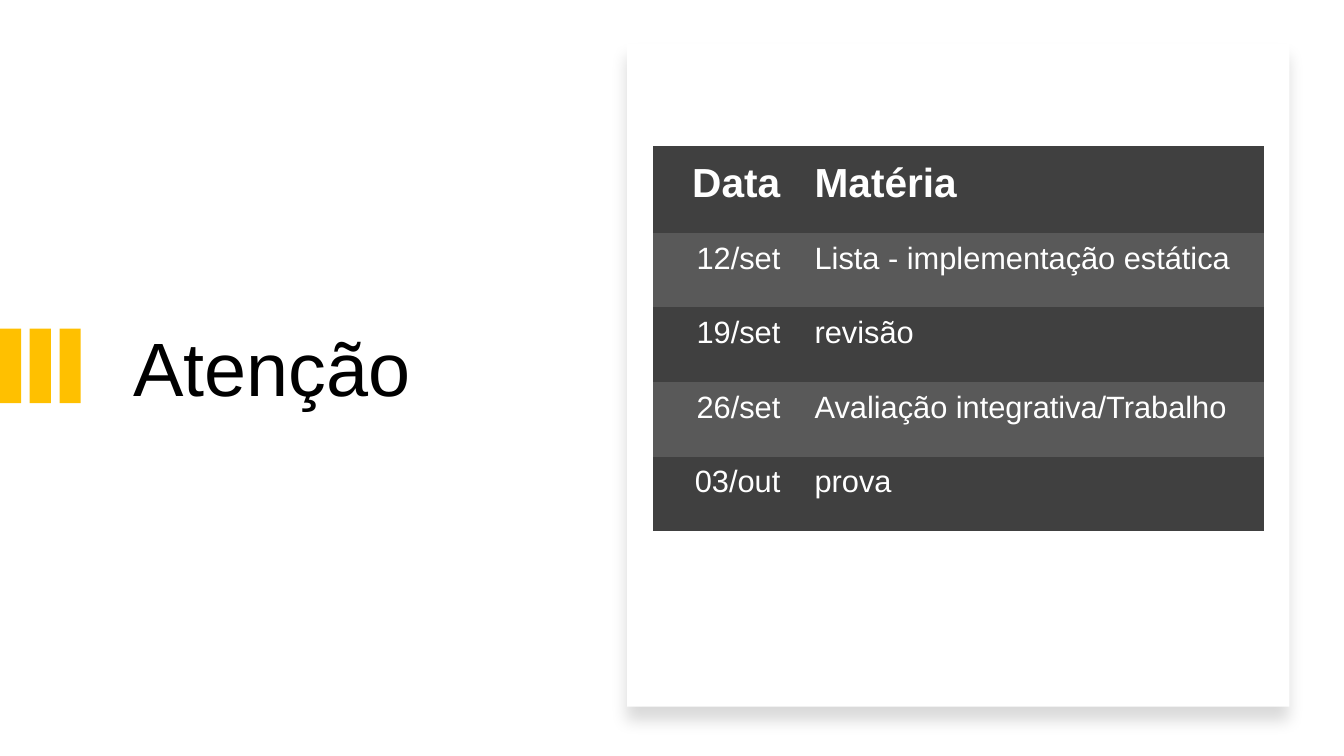
from lxml import etree
from pptx import Presentation
from pptx.dml.color import RGBColor
from pptx.enum.shapes import MSO_SHAPE
from pptx.enum.text import MSO_ANCHOR, PP_ALIGN
from pptx.oxml.ns import qn
from pptx.util import Inches, Pt

RECTANGLE = MSO_SHAPE.RECTANGLE
TOP, MIDDLE, BOTTOM = MSO_ANCHOR.TOP, MSO_ANCHOR.MIDDLE, MSO_ANCHOR.BOTTOM
LEFT, RIGHT = PP_ALIGN.LEFT, PP_ALIGN.RIGHT

TITLE = "Atenção"
SCHEDULE = [
    ("Data", "Matéria"),
    ("12/set", "Lista - implementação estática"),
    ("19/set", "revisão"),
    ("26/set", "Avaliação integrativa/Trabalho"),
    ("03/out", "prova"),
]
COLUMN_WIDTHS = (1.47, 4.59)
HEADER_HEIGHT, ROW_HEIGHT = 0.86, 0.74
CELL_MARGINS = (0.13, 0.04, 0.21, 0.27)
BAND_FILLS = ("404040", "595959")
BAR_COUNT, BAR_WIDTH, BAR_STEP = 3, 0.21, 0.295
NO_STYLE = "{2D5ABB26-0587-4C30-8999-92F81FD0307C}"


def color(value):
    return RGBColor.from_string(value)


def write(frame, text, size, fill, bold=False, align=LEFT, anchor=TOP, spacing=1.0):
    frame.word_wrap = True
    frame.vertical_anchor = anchor
    para = frame.paragraphs[0]
    para.alignment = align
    para.line_spacing = spacing
    span = para.add_run()
    span.text = text
    span.font.name = "Arial"
    span.font.size = Pt(size)
    span.font.bold = bold
    span.font.color.rgb = color(fill)


def add_box(shapes, left, top, width, height, fill):
    box = shapes.add_shape(RECTANGLE, *map(Inches, (left, top, width, height)))
    box.shadow.inherit = False
    box.fill.solid()
    box.fill.fore_color.rgb = color(fill)
    box.line.fill.background()
    return box


def add_shadow(box, fill, opacity, blur, distance, angle):
    effects = box._element.spPr.find(qn("a:effectLst"))
    shadow = etree.SubElement(effects, qn("a:outerShdw"), blurRad=str(Pt(blur)),
                              dist=str(Pt(distance)), dir=str(angle * 60000),
                              algn="t", rotWithShape="0")
    tint = etree.SubElement(shadow, qn("a:srgbClr"), val=fill)
    etree.SubElement(tint, qn("a:alpha"), val=str(opacity * 1000))


def add_schedule(page, left, top):
    heights = [HEADER_HEIGHT] + [ROW_HEIGHT] * (len(SCHEDULE) - 1)
    frame = page.shapes.add_table(len(SCHEDULE), len(COLUMN_WIDTHS), Inches(left), Inches(top),
                                  Inches(sum(COLUMN_WIDTHS)), Inches(sum(heights)))
    table = frame.table
    table._tbl.tblPr.find(qn("a:tableStyleId")).text = NO_STYLE
    for column, width in zip(table.columns, COLUMN_WIDTHS):
        column.width = Inches(width)
    for index, (entries, height) in enumerate(zip(SCHEDULE, heights)):
        header = index == 0
        table.rows[index].height = Inches(height)
        for cell, text, align in zip(table.rows[index].cells, entries, (RIGHT, LEFT)):
            cell.fill.solid()
            cell.fill.fore_color.rgb = color(BAND_FILLS[index % 2])
            (cell.margin_left, cell.margin_top,
             cell.margin_right, cell.margin_bottom) = map(Inches, CELL_MARGINS)
            cell.vertical_anchor = BOTTOM if header else MIDDLE
            write(cell.text_frame, text, 29 if header else 22, "FFFFFF", bold=header,
                  align=align, anchor=None)
            cell.vertical_anchor = BOTTOM if header else MIDDLE


def main():
    deck = Presentation()
    deck.slide_width, deck.slide_height = Inches(13.33), Inches(7.5)
    page = deck.slides.add_slide(deck.slide_layouts[5])

    title = page.shapes.title
    title.left, title.top, title.width, title.height = map(Inches, (1.22, 3.24, 4.41, 2.61))
    write(title.text_frame, TITLE, 54, "000000", spacing=0.9)

    bars = page.shapes.add_group_shape()
    for index in range(BAR_COUNT):
        add_box(bars.shapes, index * BAR_STEP, 3.26, BAR_WIDTH, 0.74, "FFC000")

    card = add_box(page.shapes, 6.22, 0.43, 6.57, 6.58, "FFFFFF")
    add_shadow(card, "000000", opacity=15, blur=11, distance=10, angle=90)
    add_schedule(page, 6.48, 1.45)
    deck.save("out.pptx")


if __name__ == "__main__":
    main()
